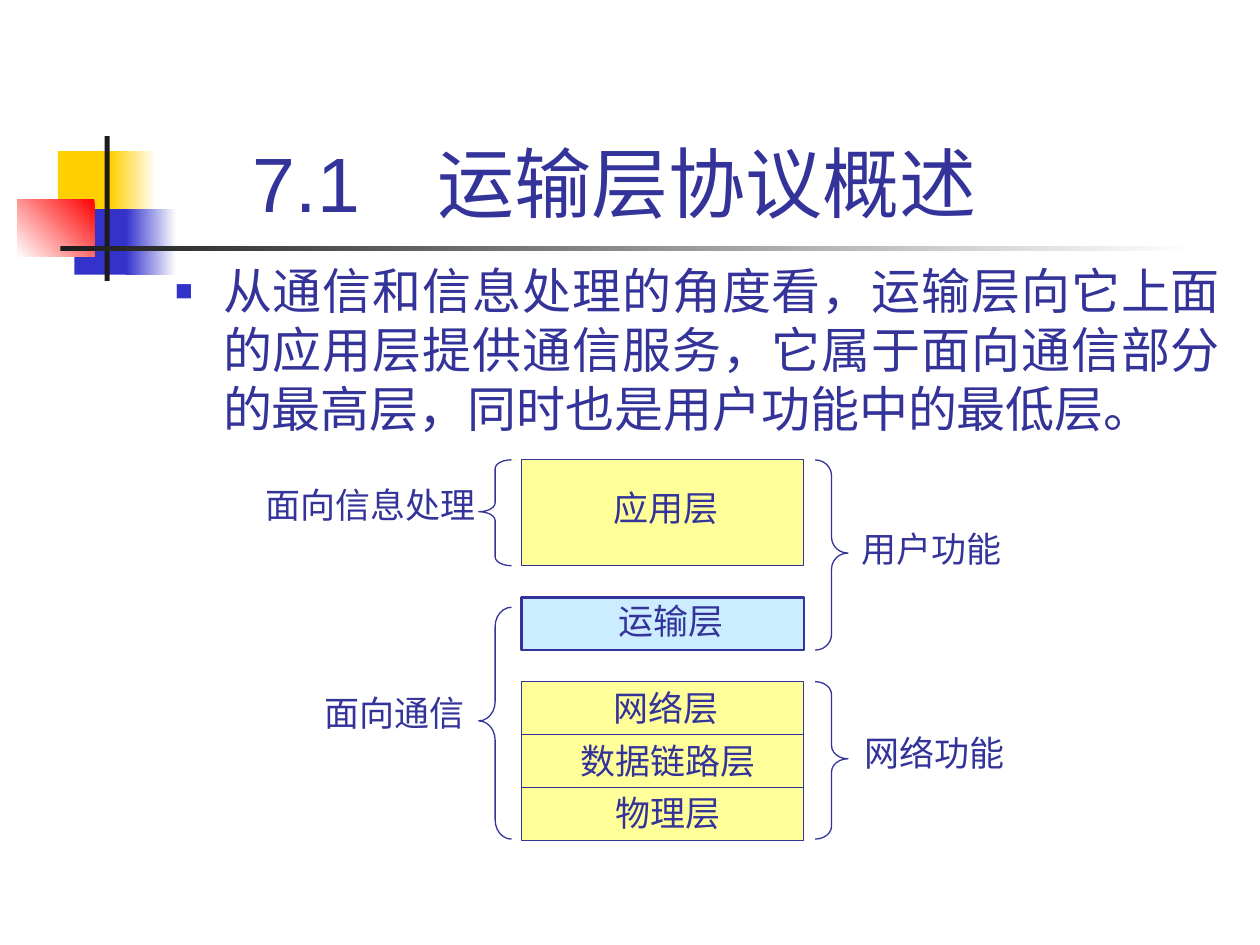
from dataclasses import dataclass
from typing import Optional

from lxml.etree import SubElement
from pptx import Presentation
from pptx.dml.color import RGBColor
from pptx.enum.shapes import MSO_CONNECTOR as Connector, MSO_SHAPE as Preset
from pptx.enum.text import MSO_ANCHOR as Anchor, MSO_AUTO_SIZE as AutoSize, PP_ALIGN as Align
from pptx.oxml.ns import qn
from pptx.util import Inches, Pt

COLORS = {
    "text": "333399", "gold": "FFCF01", "blue": "3333CC", "red": "FF0000",
    "black": "1C1C1C", "white": "FFFFFF", "yellow": "FFFF99", "sky": "CCECFF",
}
LAYER_LEFT, LAYER_WIDTH, ROW = 4.14, 2.24, 0.42
BRACE_WIDTH = 0.26


@dataclass
class Block:
    left: float
    top: float
    width: float
    height: float
    color: str
    fade_angle: Optional[float] = None
    outline: float = 0


@dataclass
class Brace:
    preset: Preset
    left: float
    top: float
    bottom: float


@dataclass
class Label:
    text: str
    left: float
    top: float
    width: float


DECORATIONS = [
    Block(0.46, 1.2, 0.48, 0.52, "gold"),
    Block(0.88, 1.2, 0.36, 0.52, "gold", fade_angle=0),
    Block(0.59, 1.66, 0.46, 0.52, "blue"),
    Block(1, 1.66, 0.4, 0.52, "blue", fade_angle=0),
    Block(0.14, 1.58, 0.61, 0.46, "red", fade_angle=225),
    Block(0.83, 1.08, 0.04, 1.15, "black"),
    Block(0.48, 1.95, 9, 0.04, "black", fade_angle=0),
]
LAYERS = [
    Block(LAYER_LEFT, 3.65, LAYER_WIDTH, 2 * ROW, "yellow", outline=0.75),
    Block(LAYER_LEFT, 5.41, LAYER_WIDTH, 3 * ROW, "yellow", outline=0.75),
    Block(LAYER_LEFT, 4.74, LAYER_WIDTH, ROW, "sky", outline=1.5),
]
BRACES = [
    Brace(Preset.RIGHT_BRACE, 6.47, 3.65, 5.16),
    Brace(Preset.RIGHT_BRACE, 6.47, 5.41, 6.66),
    Brace(Preset.LEFT_BRACE, 3.8, 3.65, 4.49),
    Brace(Preset.LEFT_BRACE, 3.8, 4.82, 6.66),
]
LABELS = [
    Label("物理层", 4.79, 6.23, 1.06),
    Label("网络层", 4.77, 5.4, 1.06),
    Label("运输层", 4.81, 4.71, 1.06),
    Label("应用层", 4.77, 3.81, 1.06),
    Label("数据链路层", 4.51, 5.82, 1.62),
    Label("面向信息处理", 2.01, 3.79, 1.9),
    Label("面向通信", 2.48, 5.44, 1.34),
    Label("用户功能", 6.74, 4.14, 1.34),
    Label("网络功能", 6.76, 5.76, 1.34),
]


def rgb(name: str) -> RGBColor:
    return RGBColor.from_string(COLORS[name])


def place(shape, left: float, top: float, width: float, height: float) -> None:
    shape.left, shape.top = Inches(left), Inches(top)
    shape.width, shape.height = Inches(width), Inches(height)


def write(shape, text: str, *, size: float, align=Align.LEFT, anchor=Anchor.TOP,
          wrap: bool = True):
    frame = shape.text_frame
    frame.word_wrap, frame.auto_size, frame.vertical_anchor = wrap, AutoSize.NONE, anchor
    paragraph = frame.paragraphs[0]
    paragraph.alignment = align
    run = paragraph.add_run()
    run.text = text
    run.font.size, run.font.name = Pt(size), "Arial"
    run.font.color.rgb = rgb("text")
    return paragraph


def add_bullet(paragraph, *, color: str, percent: int, indent: float) -> None:
    properties = paragraph._p.get_or_add_pPr()
    properties.set("marL", str(Inches(indent)))
    properties.set("indent", str(-Inches(indent)))
    bullet_color = SubElement(properties, qn("a:buClr"))
    SubElement(bullet_color, qn("a:srgbClr"), val=COLORS[color])
    SubElement(properties, qn("a:buSzPct"), val=str(percent * 1000))
    SubElement(properties, qn("a:buFont"), typeface="Arial")
    SubElement(properties, qn("a:buChar"), char="■")


def draw_block(slide, block: Block) -> None:
    shape = slide.shapes.add_shape(Preset.RECTANGLE, 0, 0, 0, 0)
    place(shape, block.left, block.top, block.width, block.height)
    shape.shadow.inherit = False
    if block.fade_angle is None:
        shape.fill.solid()
        shape.fill.fore_color.rgb = rgb(block.color)
    else:
        shape.fill.gradient()
        shape.fill.gradient_angle = block.fade_angle
        for stop, name in zip(shape.fill.gradient_stops, (block.color, "white")):
            stop.color.rgb = rgb(name)
    if block.outline:
        shape.line.color.rgb = rgb("text")
        shape.line.width = Pt(block.outline)
    else:
        shape.line.fill.background()


def draw_divider(slide, top: float) -> None:
    line = slide.shapes.add_connector(
        Connector.STRAIGHT, Inches(LAYER_LEFT), Inches(top),
        Inches(LAYER_LEFT + LAYER_WIDTH), Inches(top))
    line.line.color.rgb = rgb("text")
    line.line.width = Pt(0.75)
    SubElement(line._element.spPr, qn("a:effectLst"))


def draw_brace(slide, brace: Brace) -> None:
    height = brace.bottom - brace.top
    shape = slide.shapes.add_shape(brace.preset, 0, 0, 0, 0)
    place(shape, brace.left, brace.top, BRACE_WIDTH, height)
    shape.adjustments[0] = height / 12 / BRACE_WIDTH
    shape.adjustments[1] = 0.49
    shape.shadow.inherit = False
    shape.fill.background()
    shape.line.color.rgb = rgb("text")
    shape.line.width = Pt(0.75)


def draw_label(slide, label: Label) -> None:
    box = slide.shapes.add_textbox(0, 0, 0, 0)
    place(box, label.left, label.top, label.width, 0.44)
    write(box, label.text, size=20)


def main() -> None:
    """Build the transport layer overview slide."""
    presentation = Presentation()
    presentation.slide_width, presentation.slide_height = Inches(10), Inches(7.5)
    slide = presentation.slides.add_slide(presentation.slide_layouts[1])

    title, body = slide.placeholders
    place(title, 1.2, 1.02, 7.5, 0.84)
    write(title, "7.1　运输层协议概述", size=44, align=Align.CENTER, anchor=Anchor.BOTTOM)
    title.text_frame.margin_right = Inches(0.24)
    place(body, 1.29, 2.02, 8.5, 1.65)
    paragraph = write(
        body, "从通信和信息处理的角度看，运输层向它上面的应用层提供通信服务，"
        "它属于面向通信部分的最高层，同时也是用户功能中的最低层。",
        size=28, align=Align.JUSTIFY)
    paragraph.space_before = Pt(7)
    add_bullet(paragraph, color="blue", percent=60, indent=0.38)

    for block in DECORATIONS + LAYERS:
        draw_block(slide, block)
    for row in (1, 2):
        draw_divider(slide, 5.41 + row * ROW)
    for brace in BRACES:
        draw_brace(slide, brace)
    for label in LABELS:
        draw_label(slide, label)
    presentation.save("out.pptx")


if __name__ == "__main__":
    main()
